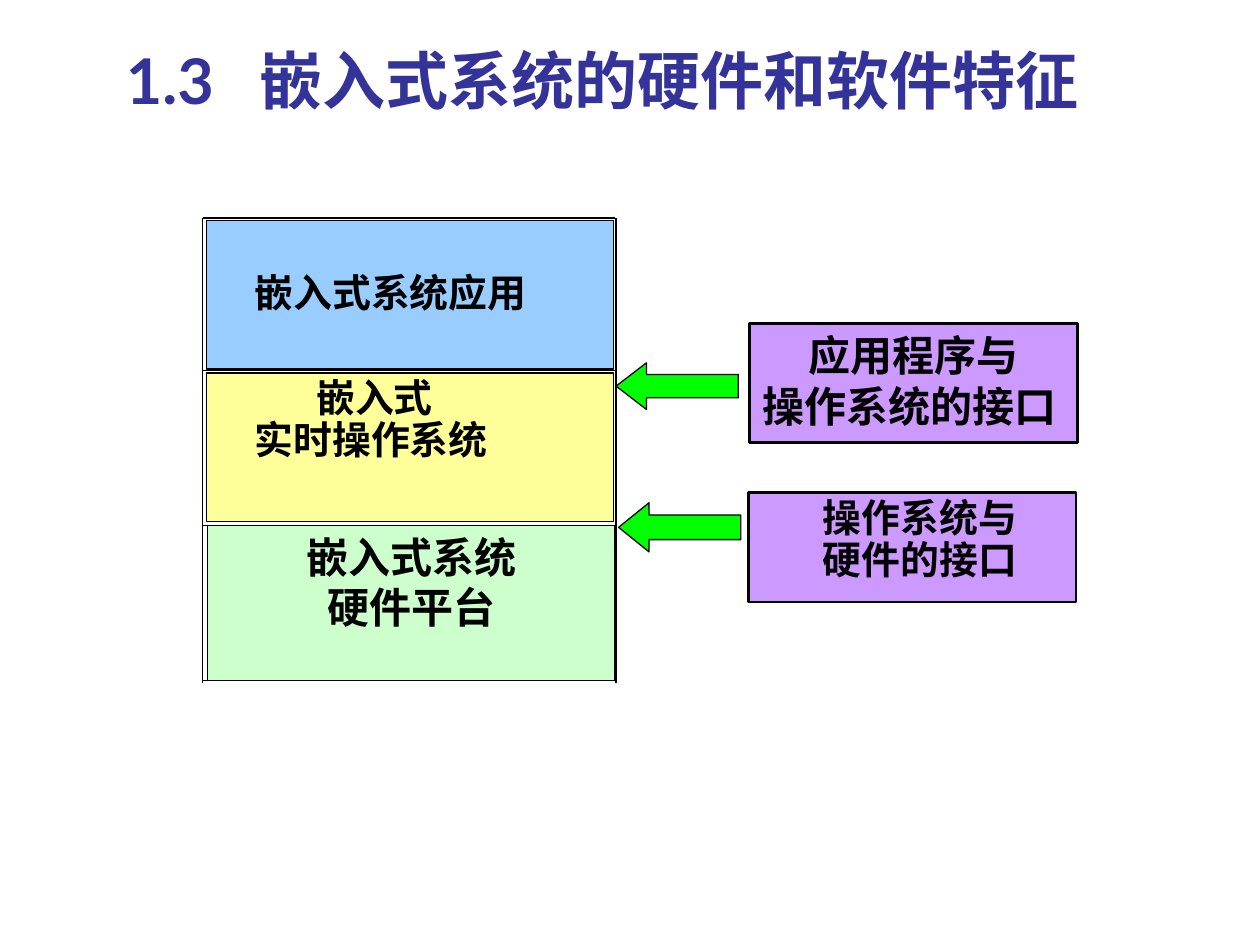
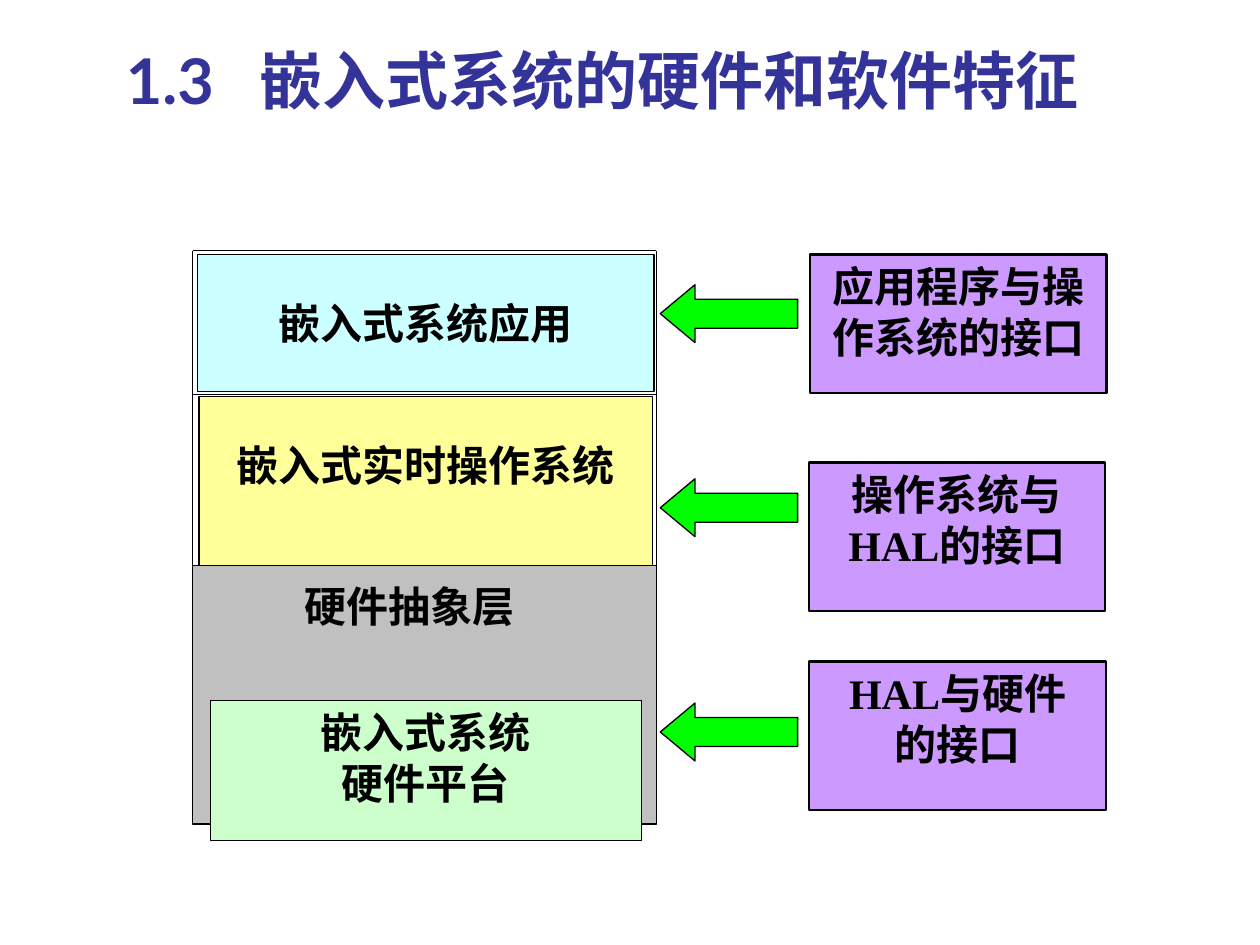
from lxml import etree
from pptx import Presentation
from pptx.dml.color import RGBColor
from pptx.enum.shapes import MSO_CONNECTOR, MSO_SHAPE
from pptx.enum.text import MSO_ANCHOR, PP_ALIGN
from pptx.oxml.ns import qn
from pptx.util import Inches, Pt

CENTER, LEFT = PP_ALIGN.CENTER, PP_ALIGN.LEFT
MIDDLE, TOP = MSO_ANCHOR.MIDDLE, MSO_ANCHOR.TOP
RECTANGLE, LEFT_ARROW = MSO_SHAPE.RECTANGLE, MSO_SHAPE.LEFT_ARROW
STRAIGHT = MSO_CONNECTOR.STRAIGHT

TITLE = "1.3\t嵌入式系统的硬件和软件特征"
TITLE_COLOR, INK = "333399", "000000"
PURPLE, GREEN, GRAY = "CC99FF", "00FF00", "C0C0C0"
YELLOW, MINT, BLUE, CYAN = "FFFF99", "CCFFCC", "99CCFF", "CCFFFF"
TITLE_FONT, BODY_FONT = "Lato", "Times New Roman"
THIN, THICK = 0.75, 1.5

deck = Presentation()
deck.slide_width, deck.slide_height = Inches(10), Inches(7.5)
# The slide is a grid of 100 columns by 75 rows
COLUMN = deck.slide_width // 100
ROW = deck.slide_height // 75


def paint(shape, fill, line, width):
    shape.shadow.inherit = False
    shape.fill.solid()
    shape.fill.fore_color.rgb = RGBColor.from_string(fill)
    shape.line.color.rgb = RGBColor.from_string(line)
    shape.line.width = Pt(width)


def write(shape, lines, font, size, color, align, spacing, pad, anchor):
    frame = shape.text_frame
    frame.word_wrap = True
    frame.vertical_anchor = anchor
    frame.margin_left, frame.margin_top = int(pad[0] * COLUMN), int(pad[1] * ROW)
    frame.margin_right, frame.margin_bottom = COLUMN, ROW // 2
    for index, text in enumerate(lines):
        para = frame.add_paragraph() if index else frame.paragraphs[0]
        para.text = text
        para.alignment = align
        para.line_spacing = spacing
        para.font.name, para.font.size, para.font.bold = font, Pt(size), True
        para.font.color.rgb = RGBColor.from_string(color)
    return frame.paragraphs


PAD = (1, 0.5)
# Box: left, top, width, height, fill, border, border width,
#      lines, text size, alignment, line spacing, left and top padding
# Rule: start column and row, end column and row
# Arrow: left, top, width, height, head length
slides = [
    {
        "rules": [(16.1, y, 48.8, y) for y in (17.3, 29.4, 41.7, 54)]
        + [(x, 17.3, x, 54.2) for x in (16.1, 48.9)],
        "boxes": [
            (16.4, 17.5, 32.3, 11.8, BLUE, INK, THIN,
             ["嵌入式系统应用"], 22.2, LEFT, 0.9, (3.8, 4.2)),
            (16.4, 29.6, 32.3, 11.8, YELLOW, INK, THIN,
             ["嵌入式", "实时操作系统"], 22.2, LEFT, 0.9, (3.8, 0.5)),
            (16.5, 41.7, 32.3, 12.3, MINT, INK, THIN,
             ["嵌入式系统", "硬件平台"], 24, CENTER, 1, PAD),
            (59.5, 25.7, 26, 9.4, PURPLE, INK, THICK,
             ["应用程序与", "操作系统的接口"], 24, CENTER, 1, PAD),
            (59.4, 39.1, 26, 8.7, PURPLE, INK, THICK,
             ["操作系统与", "硬件的接口"], 22.2, CENTER, 0.9, (2.2, 0.5)),
        ],
        "arrows": [(48.9, 28.8, 9.7, 3.7, 0.65), (49.1, 39.9, 9.7, 3.9, 0.62)],
        "indents": {"嵌入式": 4.9},
        "flush": "操作系统的接口",
    },
    {
        "rules": [(15.3, y, 52.1, y) for y in (19.9, 31.3)]
        + [(x, 19.9, x, 44.9) for x in (15.3, 52.1)],
        "boxes": [
            (15.3, 44.9, 36.8, 20.5, GRAY, INK, THIN, [], 24, CENTER, 1, PAD),
            (16.7, 55.6, 34.2, 11.1, MINT, INK, THIN,
             ["嵌入式系统", "硬件平台"], 24, CENTER, 1, PAD),
            (23.2, 45.6, 22.6, 8.4, GRAY, GRAY, THIN,
             ["硬件抽象层"], 24, LEFT, 1, PAD),
            (15.7, 20.2, 36.2, 10.9, CYAN, INK, THIN,
             ["嵌入式系统应用"], 24, CENTER, 1, (1, 3.4)),
            (15.8, 31.5, 36, 13.4, YELLOW, INK, THIN,
             ["嵌入式实时操作系统"], 24, CENTER, 1, (1, 3.4)),
            (64.3, 20.2, 23.5, 11, PURPLE, INK, THICK,
             ["应用程序与操作系统的接口"], 24, CENTER, 1, PAD),
            (64.2, 36.7, 23.5, 11.8, PURPLE, INK, THICK,
             ["操作系统与", "HAL的接口"], 24, CENTER, 1, PAD),
            (64.2, 52.5, 23.6, 11.8, PURPLE, INK, THICK,
             ["HAL与硬件", "的接口"], 24, CENTER, 1, PAD),
        ],
        "arrows": [(52.4, y, 10.9, 4.6, 0.6) for y in (22.6, 38, 55.8)],
        "indents": {},
        "flush": "",
    },
]

for content in slides:
    page = deck.slides.add_slide(deck.slide_layouts[6])

    # Title, with a tab stop after the section number
    title = page.shapes.add_textbox(9 * COLUMN, int(1.3 * ROW), int(85.2 * COLUMN), 10 * ROW)
    properties = title.text_frame.paragraphs[0]._p.get_or_add_pPr()
    tabs = etree.SubElement(properties, qn("a:tabLst"))
    etree.SubElement(tabs, qn("a:tab"), pos=str(int(10.6 * COLUMN)), algn="l")
    write(title, [TITLE], TITLE_FONT, 36, TITLE_COLOR, LEFT, 1, PAD, MIDDLE)

    # Frame lines around the layers
    for x1, y1, x2, y2 in content["rules"]:
        rule = page.shapes.add_connector(
            STRAIGHT, int(x1 * COLUMN), int(y1 * ROW), int(x2 * COLUMN), int(y2 * ROW))
        rule.line.color.rgb = RGBColor.from_string(INK)
        rule.line.width = Pt(THIN)
        etree.SubElement(rule._element.spPr, qn("a:effectLst"))

    # Layers on the left and interfaces on the right
    for left, top, width, height, fill, border, weight, lines, *style in content["boxes"]:
        size, align, spacing, pad = style
        box = page.shapes.add_shape(
            RECTANGLE, int(left * COLUMN), int(top * ROW), int(width * COLUMN), int(height * ROW))
        paint(box, fill, border, weight)
        if lines:
            for para in write(box, lines, BODY_FONT, size, INK, align, spacing, pad, TOP):
                if para.text in content["indents"]:
                    indent = int(content["indents"][para.text] * COLUMN)
                    para._p.get_or_add_pPr().set("marL", str(indent))
                if para.text == content["flush"]:
                    para.alignment = LEFT

    # Arrows from the interfaces to the layers
    for left, top, width, height, head in content["arrows"]:
        arrow = page.shapes.add_shape(
            LEFT_ARROW, int(left * COLUMN), int(top * ROW), int(width * COLUMN), int(height * ROW))
        arrow.adjustments[0], arrow.adjustments[1] = 0.5, head
        paint(arrow, GREEN, INK, THIN)

deck.save("out.pptx")
